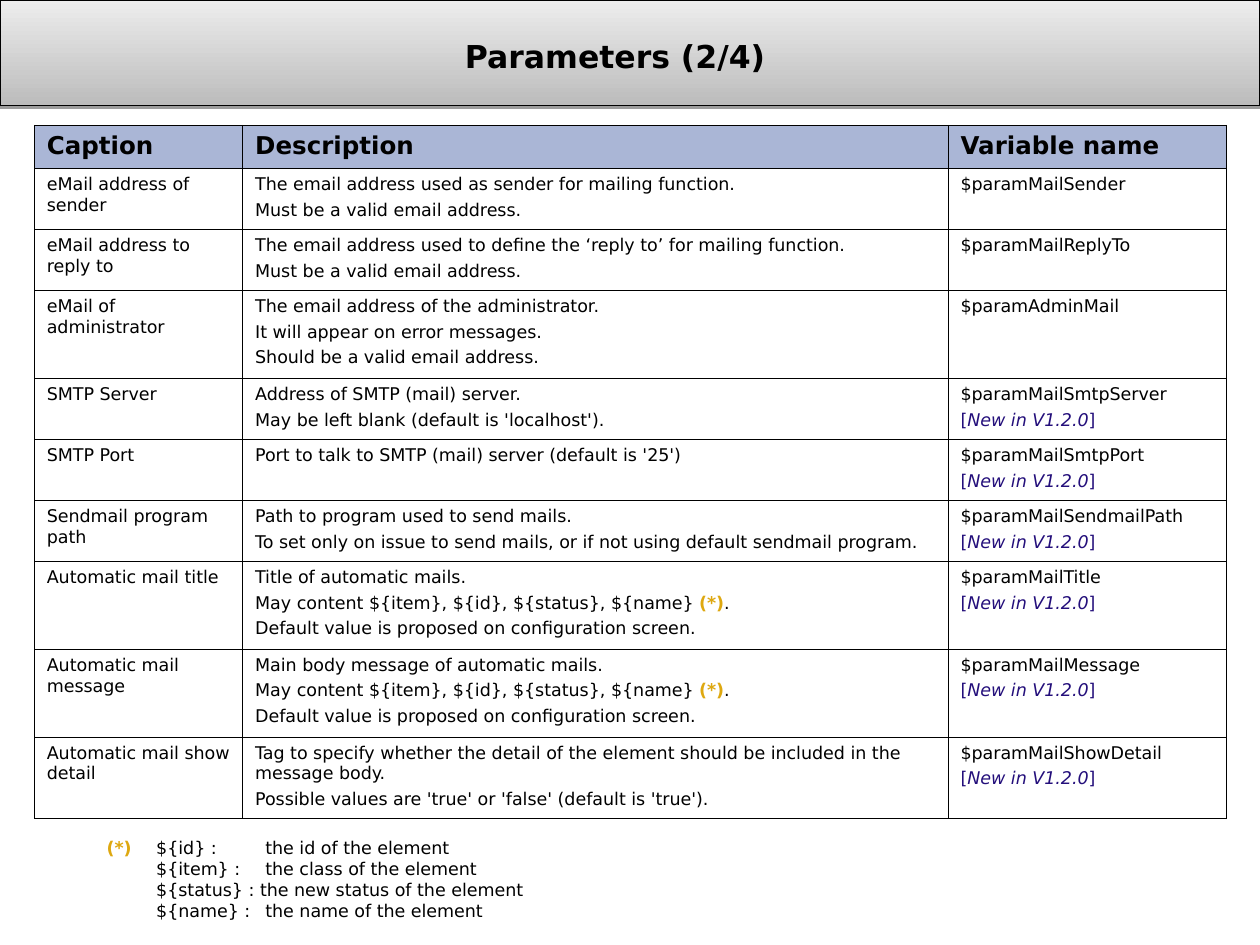
from dataclasses import dataclass

from lxml import etree
from pptx import Presentation
from pptx import util as u
from pptx.dml.color import RGBColor
from pptx.enum import shapes, text
from pptx.oxml import ns


@dataclass(frozen=True)
class Theme:
    font: str = "DejaVu Sans"
    ink: str = "000000"
    header: str = "AAB6D6"
    banner_bottom: str = "BCBCBC"
    banner_top: str = "EDEDED"
    version: str = "240F7B"
    marker: str = "DEA810"
    title_size: float = 18
    header_size: float = 14
    body_size: float = 10
    banner_line: float = 0.75
    grid_line: float = 0.06


@dataclass(frozen=True)
class Span:
    text: str
    color: str
    bold: bool = False
    italic: bool = False


THEME = Theme()
MARKER = Span("(*)", THEME.marker, bold=True)
NEW_IN_VERSION = [
    Span("[", THEME.version),
    Span("New in V1.2.0", THEME.version, italic=True),
    Span("]", THEME.version),
]
MAIL_FIELDS = ["May content ${item}, ${id}, ${status}, ${name} ", MARKER, "."]
VALID_ADDRESS = "Must be a valid email address."
PROPOSED_DEFAULT = "Default value is proposed on configuration screen."

HEADINGS = ["Caption", "Description", "Variable name"]
PARAMETERS = [
    ("eMail address of sender",
     ["The email address used as sender for mailing function.", VALID_ADDRESS],
     ["$paramMailSender"]),
    ("eMail address to reply to",
     ["The email address used to define the ‘reply to’ for mailing function.", VALID_ADDRESS],
     ["$paramMailReplyTo"]),
    ("eMail of administrator",
     ["The email address of the administrator.",
      "It will appear on error messages.",
      "Should be a valid email address."],
     ["$paramAdminMail"]),
    ("SMTP Server",
     ["Address of SMTP (mail) server.", "May be left blank (default is 'localhost')."],
     ["$paramMailSmtpServer", NEW_IN_VERSION]),
    ("SMTP Port",
     ["Port to talk to SMTP (mail) server (default is '25')"],
     ["$paramMailSmtpPort", NEW_IN_VERSION]),
    ("Sendmail program path",
     ["Path to program used to send mails.",
      "To set only on issue to send mails, or if not using default sendmail program."],
     ["$paramMailSendmailPath", NEW_IN_VERSION]),
    ("Automatic mail title",
     ["Title of automatic mails.", MAIL_FIELDS, PROPOSED_DEFAULT],
     ["$paramMailTitle", NEW_IN_VERSION]),
    ("Automatic mail message",
     ["Main body message of automatic mails.", MAIL_FIELDS, PROPOSED_DEFAULT],
     ["$paramMailMessage", NEW_IN_VERSION]),
    ("Automatic mail show detail",
     ["Tag to specify whether the detail of the element should be included in the message body.",
      "Possible values are 'true' or 'false' (default is 'true')."],
     ["$paramMailShowDetail", NEW_IN_VERSION]),
]
FIELD_NOTES = [
    [MARKER, "\t${id} : \tthe id of the element"],
    "\t${item} : \tthe class of the element",
    "\t${status} : the new status of the element",
    "\t${name} : \tthe name of the element",
]
COLUMN_WIDTHS = [4.2, 14.22, 5.6]
HEADER_HEIGHT, TWO_LINES, THREE_LINES, LAST_ROW = 0.87, 1.23, 1.77, 1.65


class SlideBuilder:
    def __init__(self, slide, theme):
        self.slide = slide
        self.theme = theme

    def color(self, value):
        return RGBColor.from_string(value)

    def add_element(self, parent, tag, **attributes):
        return etree.SubElement(
            parent, ns.qn(tag), {name: str(value) for name, value in attributes.items()})

    def fill_text(self, frame, lines, size, bold=False, align=None, before=None, tabs=()):
        for index, line in enumerate(lines):
            paragraph = frame.paragraphs[0] if index == 0 else frame.add_paragraph()
            if tabs:
                tab_list = self.add_element(paragraph._p.get_or_add_pPr(), "a:tabLst")
                for position in tabs:
                    self.add_element(tab_list, "a:tab", pos=int(u.Cm(position)), algn="l")
            paragraph.alignment = align
            if before is not None:
                paragraph.space_before = u.Pt(before)
                paragraph.line_spacing = 1.01 if index == 0 else 1.03
            paragraph.font.name = self.theme.font
            paragraph.font.size = u.Pt(size)
            paragraph.font.bold = bold
            paragraph.font.color.rgb = self.color(self.theme.ink)
            for part in [line] if isinstance(line, str) else line:
                run = paragraph.add_run()
                if isinstance(part, str):
                    run.text = part
                    continue
                run.text = part.text
                run.font.color.rgb = self.color(part.color)
                run.font.bold = part.bold
                run.font.italic = part.italic

    def banner(self, left, top, width, height):
        shape = self.slide.shapes.add_shape(
            shapes.MSO_SHAPE.RECTANGLE, u.Cm(left), u.Cm(top), u.Cm(width), u.Cm(height))
        shape.fill.gradient()
        shape.fill.gradient_angle = 90
        stops = shape.fill.gradient_stops
        for stop, value in zip(stops, [self.theme.banner_bottom, self.theme.banner_top]):
            stop.color.rgb = self.color(value)
        shape.line.color.rgb = self.color(self.theme.ink)
        shape.line.width = u.Pt(self.theme.banner_line)
        shape.shadow.inherit = False
        effects = shape._element.spPr.find(ns.qn("a:effectLst"))
        shadow = self.add_element(effects, "a:outerShdw", dist=int(u.Pt(1.6)),
                                  dir=90 * 60000, rotWithShape=0)
        shade = self.add_element(shadow, "a:srgbClr", val=self.theme.ink)
        self.add_element(shade, "a:alpha", val=38000)

    def text_box(self, left, top, width, height, lines, size, inset=True,
                 anchor=text.MSO_ANCHOR.TOP, **style):
        box = self.slide.shapes.add_textbox(
            u.Cm(left), u.Cm(top), u.Cm(width), u.Cm(height))
        frame = box.text_frame
        frame.word_wrap = True
        frame.vertical_anchor = anchor
        if not inset:
            frame.margin_left = frame.margin_right = 0
            frame.margin_top = frame.margin_bottom = 0
        self.fill_text(frame, lines, size, **style)

    def border(self, cell):
        properties = cell._tc.get_or_add_tcPr()
        for position, side in enumerate(["a:lnL", "a:lnR", "a:lnT", "a:lnB"]):
            line = self.add_element(properties, side, w=int(u.Pt(self.theme.grid_line)))
            fill = self.add_element(line, "a:solidFill")
            self.add_element(fill, "a:srgbClr", val=self.theme.ink)
            properties.insert(position, line)

    def table(self, left, top, widths, heights, headings, rows):
        frame = self.slide.shapes.add_table(
            len(heights), len(widths), u.Cm(left), u.Cm(top),
            u.Cm(sum(widths)), u.Cm(sum(heights)))
        table = frame.table
        table.first_row = table.horz_banding = False
        for column, width in zip(table.columns, widths):
            column.width = u.Cm(width)
        for row, height in zip(table.rows, heights):
            row.height = u.Cm(height)
        for column, heading in enumerate(headings):
            cell = table.cell(0, column)
            cell.fill.solid()
            cell.fill.fore_color.rgb = self.color(self.theme.header)
            self.fill_text(cell.text_frame, [heading], self.theme.header_size,
                           bold=True, before=3.5)
        for index, (caption, description, variable) in enumerate(rows, start=1):
            for column, lines in enumerate([[caption], description, variable]):
                cell = table.cell(index, column)
                cell.fill.background()
                self.fill_text(cell.text_frame, lines, self.theme.body_size, before=2.5)
        for cell in table.iter_cells():
            self.border(cell)


def main():
    presentation = Presentation()
    presentation.slide_width, presentation.slide_height = u.Cm(25.4), u.Cm(19.05)
    slide = presentation.slides.add_slide(presentation.slide_layouts[6])
    builder = SlideBuilder(slide, THEME)

    builder.banner(0, 0, 25.4, 2.13)
    builder.text_box(7.7, 0.33, 9.4, 1.6, ["Parameters (2/4)"], THEME.title_size, inset=False,
                     anchor=text.MSO_ANCHOR.MIDDLE, bold=True, align=text.PP_ALIGN.CENTER)
    heights = [THREE_LINES if len(description) == 3 else TWO_LINES
               for _, description, _ in PARAMETERS[:-1]]
    builder.table(0.69, 2.52, COLUMN_WIDTHS, [HEADER_HEIGHT, *heights, LAST_ROW],
                  HEADINGS, PARAMETERS)
    builder.text_box(1.9, 16.74, 13.8, 2.39, FIELD_NOTES, THEME.body_size, tabs=[1, 3.2])

    presentation.save("out.pptx")


if __name__ == "__main__":
    main()
